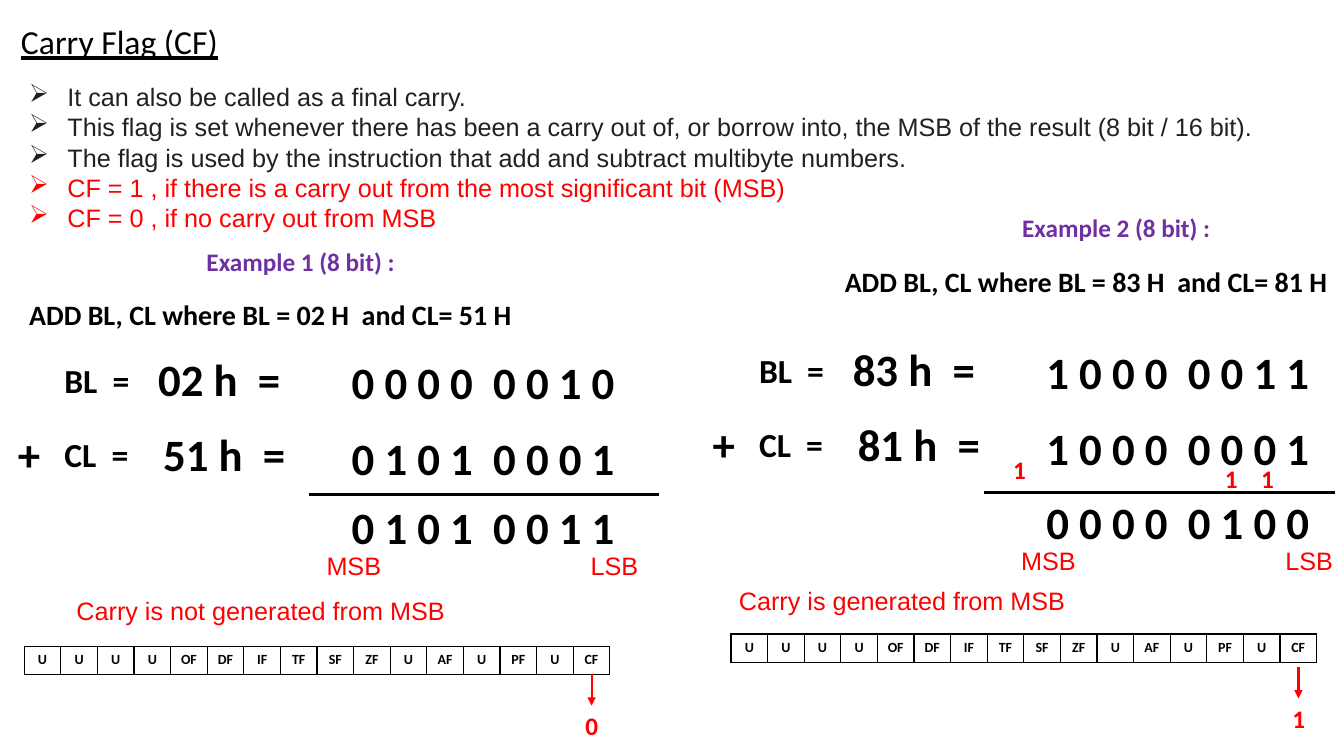
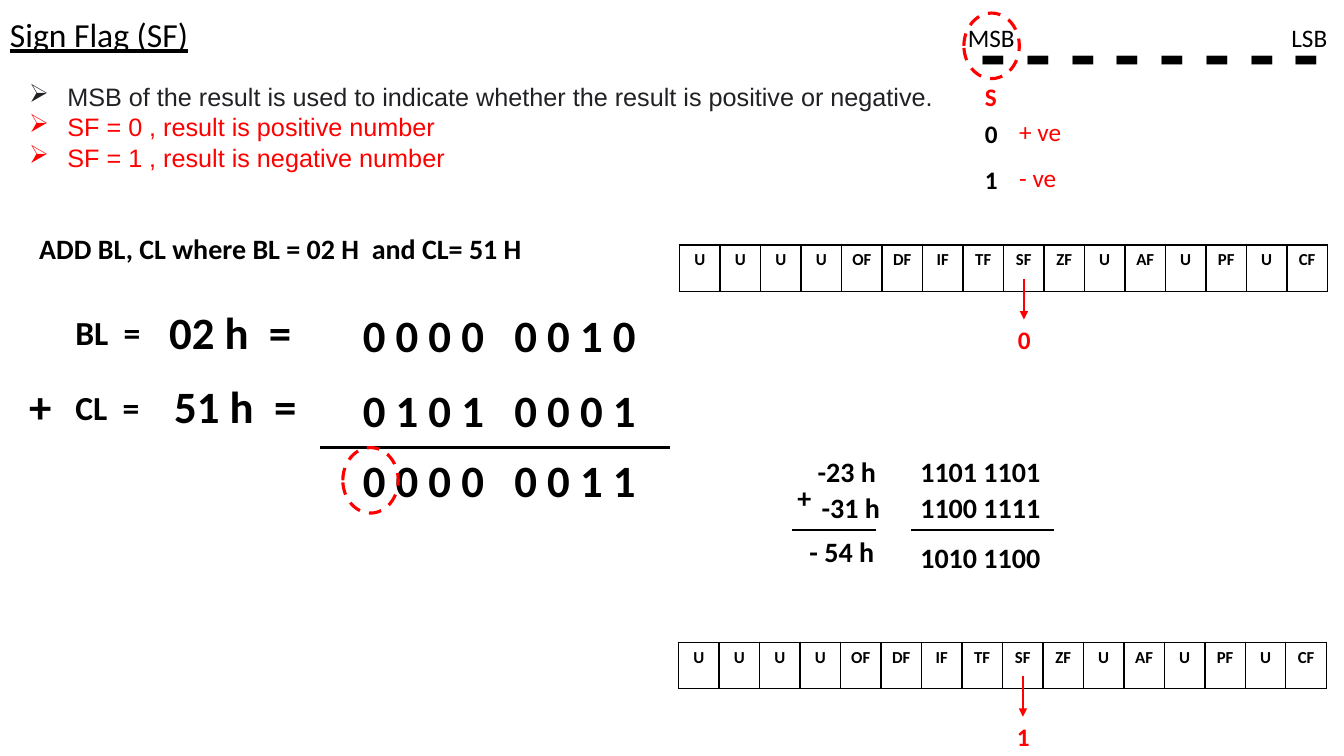
import pptx
import pptx.dml.color
import pptx.enum.dml
import pptx.enum.shapes
import pptx.enum.text
import pptx.oxml.ns
import pptx.util
from lxml import etree

Inches = pptx.util.Inches
RGBColor = pptx.dml.color.RGBColor
BLACK = RGBColor(0x00, 0x00, 0x00)
INK = RGBColor(0x20, 0x21, 0x24)
RED = RGBColor(0xFF, 0x00, 0x00)
PURPLE = RGBColor(0x70, 0x30, 0xA0)

SLIDE_W, SLIDE_H = 13.33, 7.5
FLAGS = "U U U U OF DF IF TF SF ZF U AF U PF U CF".split()


def xml_child(parent, tag, **attributes):
    return etree.SubElement(parent, pptx.oxml.ns.qn(tag), attributes)


def style_runs(paragraph, size, color, bold=False, font="Calibri", underline=False):
    for run in paragraph.runs:
        run.font.name = font
        run.font.size = pptx.util.Pt(size)
        run.font.bold = bold
        run.font.underline = underline
        run.font.color.rgb = color


def add_text(slide, left, top, width, words, size, color=BLACK, **style):
    """Add one line of text and return its frame."""
    label = slide.shapes.add_textbox(
        Inches(left), Inches(top), Inches(width), Inches(size / 60 + 0.1))
    frame = label.text_frame
    frame.word_wrap = True
    frame.margin_right = 0
    frame.text = words
    style_runs(frame.paragraphs[0], size, color, **style)
    return frame


def add_title(slide, left, top, words):
    add_text(slide, left, top, 2.41, words, 24, underline=True)


def add_bullets(slide, facts, rules):
    """List the facts in ink, then the rules in red."""
    lines = [(words, INK) for words in facts] + [(words, RED) for words in rules]
    frame = add_text(slide, 0.19, 0.76, 12.45, "", 18)
    for index, (words, color) in enumerate(lines):
        paragraph = frame.add_paragraph() if index else frame.paragraphs[0]
        paragraph.text = words
        style_runs(paragraph, 18, color, font="Arial")
        properties = paragraph._p.get_or_add_pPr()
        properties.set("marL", str(Inches(0.38)))
        properties.set("indent", str(-Inches(0.38)))
        xml_child(properties, "a:buChar", char="➢")


def add_line(slide, start, end, color, weight, arrow=False):
    line = slide.shapes.add_connector(
        pptx.enum.shapes.MSO_CONNECTOR.STRAIGHT,
        *(Inches(value) for value in (*start, *end)))
    line.line.color.rgb = color
    line.line.width = pptx.util.Pt(weight)
    if arrow:
        xml_child(line.line._get_or_add_ln(), "a:tailEnd", type="triangle")
    xml_child(line._element.spPr, "a:effectLst")


def add_ring(slide, left, top):
    ring = slide.shapes.add_shape(
        pptx.enum.shapes.MSO_SHAPE.OVAL,
        Inches(left), Inches(top), Inches(0.55), Inches(0.65))
    ring.shadow.inherit = False
    ring.fill.background()
    ring.line.color.rgb = RED
    ring.line.width = pptx.util.Pt(2.25)
    ring.line.dash_style = pptx.enum.dml.MSO_LINE.DASH


def add_cell_borders(cell):
    properties = cell._tc.get_or_add_tcPr()
    for index, side in enumerate(("a:lnL", "a:lnR", "a:lnT", "a:lnB")):
        border = etree.Element(pptx.oxml.ns.qn(side), w=str(pptx.util.Pt(1)))
        fill = xml_child(border, "a:solidFill")
        xml_child(fill, "a:srgbClr", val=str(BLACK))
        properties.insert(index, border)


def add_flag_register(slide, left, top, width, height, size, flag, value, gap, drop):
    """Draw the register, with an arrow from one flag down to its value."""
    register = slide.shapes.add_table(
        1, len(FLAGS), Inches(left), Inches(top), Inches(width), Inches(height)).table
    register.first_row = register.horz_banding = False
    register.rows[0].height = Inches(height)
    for column, name in enumerate(FLAGS):
        register.columns[column].width = Inches(width / len(FLAGS))
        cell = register.cell(0, column)
        cell.fill.background()
        cell.margin_left = cell.margin_right = 0
        cell.text = name
        paragraph = cell.text_frame.paragraphs[0]
        paragraph.alignment = pptx.enum.text.PP_ALIGN.CENTER
        style_runs(paragraph, size, BLACK, bold=True)
        add_cell_borders(cell)
    x = left + width / len(FLAGS) * (FLAGS.index(flag) + 0.5)
    y = top + gap
    add_line(slide, (x, y), (x, y + drop), RED, 1.5, arrow=True)
    add_text(slide, x - 0.16, y + drop, 0.35, value, 18, RED, bold=True)


def add_binary_sum(slide, left, top, values, bits, result_y=1.47, rule_x=2.98, rule_y=1.47):
    """Write BL + CL in hex and in binary, with the result under a rule."""
    add_text(slide, left, top + 0.74, 0.82, "+", 32, bold=True)
    for row, (register, value) in enumerate(zip(("BL", "CL"), values)):
        y = top + 0.74 * row
        add_text(slide, left + 0.46, y + 0.08, 0.93, f"{register}  =", 24, bold=True)
        add_text(slide, left + 1.39 + 0.05 * row, y, 1.63, f"{value}  =", 32, bold=True)
    for y, digits in zip((0.03, 0.78, result_y), bits):
        add_text(slide, left + 3.31, top + y, 2.96, digits, 32, bold=True)
    add_line(slide, (left + rule_x, top + rule_y),
             (left + rule_x + 3.48, top + rule_y), BLACK, 2.25)


def add_statement(slide, left, top, words):
    add_text(slide, left, top, 5.05, words, 20, bold=True)


def add_carry_example(slide, left, top, heading, statement, statement_at, values, bits,
                      verdict, verdict_x, register_at, carry, gap, result_y=1.47, **rule):
    """Place one worked sum; every position is counted from its left and top."""
    x, y = left + statement_at[0], top + statement_at[1]
    add_text(slide, x + 1.76, y - 0.51, 2.17, heading, 18, PURPLE, bold=True)
    add_statement(slide, x, y, statement)
    add_binary_sum(slide, left, top, values, bits, result_y, **rule)
    for name, offset in (("MSB", 3.06), ("LSB", 5.68)):
        add_text(slide, left + offset, top + result_y + 0.5, 0.68, name, 18, RED,
                 font="Arial")
    add_text(slide, left + verdict_x, top + 2.42, 4.18, verdict, 18, RED, font="Arial")
    add_flag_register(slide, left + register_at[0], top + register_at[1],
                      5.81, 0.28, 10, "CF", carry, gap, 0.31)


def add_sign_key(slide, left, top):
    """Show the eight bit places and what the sign bit means."""
    add_text(slide, left + 0.13, top - 0.21, 3.7, "- - - - - - - -", 60, bold=True)
    add_ring(slide, left + 0.06, top - 0.04)
    add_text(slide, left, top, 0.72, "MSB", 18)
    add_text(slide, left + 3.21, top, 0.62, "LSB", 18)
    add_text(slide, left + 0.17, top + 0.59, 0.44, "S", 18, RED, bold=True)
    for row, (bit, sign) in enumerate((("0", "+ ve"), ("1", "- ve"))):
        y = top + 0.95 + 0.46 * row
        add_text(slide, left + 0.17, y, 0.34, bit, 18, bold=True)
        add_text(slide, left + 0.51, y - 0.02, 0.62, sign, 18, RED)


def add_negative_sum(slide, left, top):
    add_text(slide, left, top + 0.26, 0.52, "+", 20, bold=True)
    rows = (
        (0.2, 0, "-23 h", 0, "1101 1101"),
        (0.24, 0.36, "-31 h", 0.36, "1100 1111"),
        (0.12, 0.79, "- 54 h", 0.85, "1010 1100"),
    )
    for hex_x, hex_y, number, bits_y, digits in rows:
        add_text(slide, left + hex_x, top + hex_y, 0.88, number, 20, bold=True)
        add_text(slide, left + 1.22, top + bits_y, 2.17, digits, 20, bold=True)
    for start, end in ((0.05, 0.88), (1.23, 2.64)):
        add_line(slide, (left + start, top + 0.8), (left + end, top + 0.8), BLACK, 1)


def build_carry_slide(slide):
    add_title(slide, 0.11, 0.16, "Carry Flag (CF)")
    add_bullets(slide, (
        "It can also be called as a final carry.",
        "This flag is set whenever there has been a carry out of, or borrow into, "
        "the MSB of the result (8 bit / 16 bit).",
        "The flag is used by the instruction that add and subtract multibyte numbers.",
    ), (
        "CF = 1 , if there is a carry out from the most significant bit (MSB)",
        "CF = 0 , if no carry out from MSB",
    ))
    add_carry_example(
        slide, 0.08, 3.44, "Example 1 (8 bit) :",
        "ADD BL, CL where BL = 02 H  and CL= 51 H", (0.11, -0.54), ("02 h", "51 h"),
        ("0 0 0 0  0 0 1 0", "0 1 0 1  0 0 0 1", "0 1 0 1  0 0 1 1"),
        "Carry is not generated from MSB", 0.58, (0.16, 2.97), "0", 0.28)
    add_carry_example(
        slide, 6.97, 3.34, "Example 2 (8 bit) :",
        "ADD BL, CL where BL = 83 H  and CL= 81 H", (1.31, -0.77), ("83 h", "81 h"),
        ("1 0 0 0  0 0 1 1", "1 0 0 0  0 0 0 1", "0 0 0 0  0 1 0 0"),
        "Carry is generated from MSB", 0.26, (0.28, 2.95), "1", 0.33,
        result_y=1.52, rule_x=2.79, rule_y=1.55)
    for x, y in ((9.95, 4.46), (12.05, 4.55), (12.41, 4.55)):
        add_text(slide, x, y, 0.33, "1", 18, RED, bold=True)


def build_sign_slide(slide):
    add_title(slide, 0, 0.09, "Sign Flag (SF)")
    add_bullets(slide, (
        "MSB of the result is used to indicate whether the result is positive or negative.",
    ), (
        "SF = 0 , result is positive number",
        "SF = 1 , result is negative number",
    ))
    add_statement(slide, 0.29, 2.25, "ADD BL, CL where BL = 02 H  and CL= 51 H")
    add_binary_sum(slide, 0.19, 2.97, ("02 h", "51 h"),
                   ("0 0 0 0   0 0 1 0", "0 1 0 1   0 0 0 1", "0 0 0 0   0 0 1 1"))
    add_ring(slide, 3.4, 4.44)
    add_sign_key(slide, 9.5, 0.17)
    add_negative_sum(slide, 7.81, 4.46)
    for left, top, sign in ((6.74, 2.43, "0"), (6.73, 6.37, "1")):
        add_flag_register(slide, left, top, 6.43, 0.46, 12, "SF", sign, 0.34, 0.4)


def main():
    deck = pptx.Presentation()
    deck.slide_width = Inches(SLIDE_W)
    deck.slide_height = Inches(SLIDE_H)
    for build in (build_carry_slide, build_sign_slide):
        build(deck.slides.add_slide(deck.slide_layouts[6]))
    deck.save("out.pptx")


if __name__ == "__main__":
    main()
